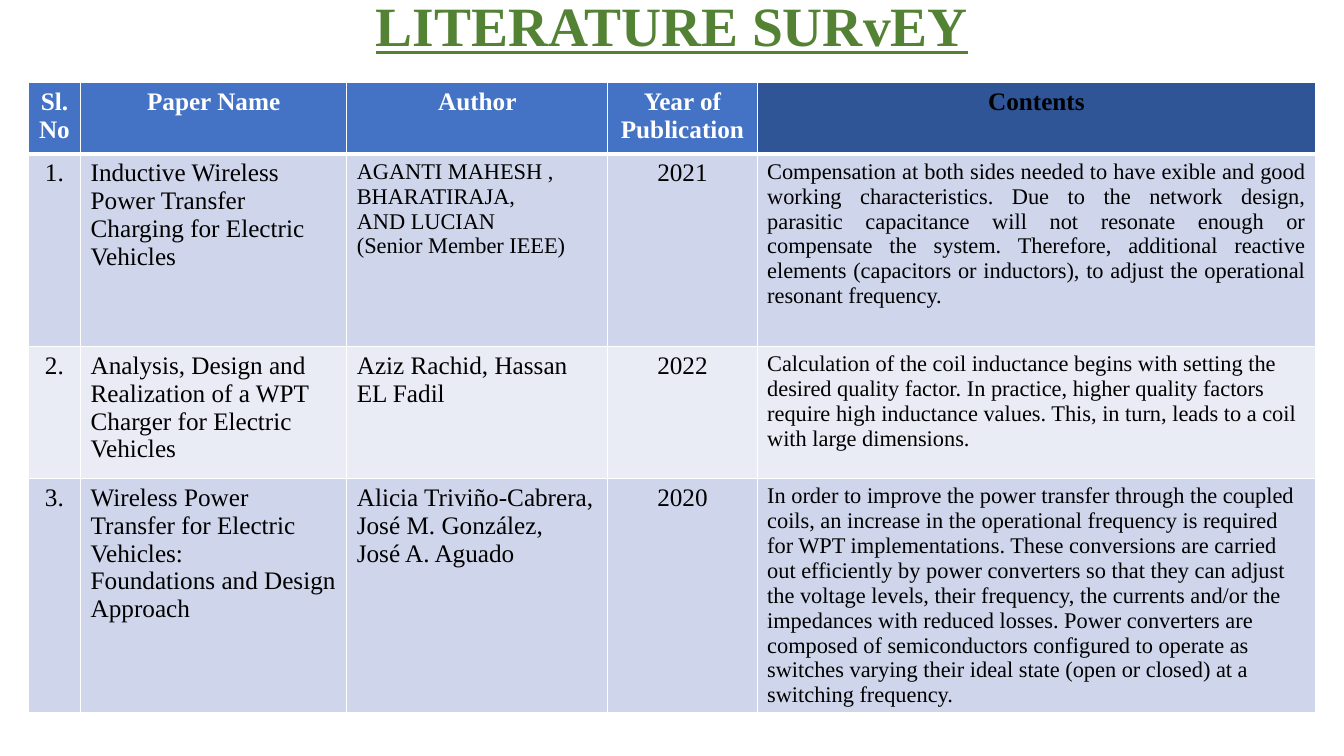
from lxml.etree import SubElement
from pptx import Presentation
from pptx.dml.color import RGBColor
from pptx.enum.text import MSO_ANCHOR, MSO_AUTO_SIZE, PP_ALIGN
from pptx.oxml.ns import qn
from pptx.util import Inches, Pt

FONT = "Times New Roman"
GREEN = RGBColor(0x54, 0x82, 0x35)
BLUE = RGBColor(0x44, 0x72, 0xC4)
NAVY = RGBColor(0x2F, 0x55, 0x97)
BAND = RGBColor(0xCF, 0xD5, 0xEA)
PALE = RGBColor(0xE9, 0xEB, 0xF5)
WHITE = RGBColor(0xFF, 0xFF, 0xFF)
BLACK = RGBColor(0, 0, 0)

COLS = [0.52, 2.64, 2.59, 1.48, 5.54]
ROWS = [0.71, 1.91, 1.31, 1.42]
CENTRED = (0, 3)
CONTENTS = 4
PAPERS = [
    ["Sl. No", "Paper Name", "Author", "Year of Publication", "Contents"],
    ["1.",
     "Inductive Wireless Power Transfer Charging for Electric Vehicles",
     "AGANTI MAHESH , BHARATIRAJA,\nAND LUCIAN\n(Senior Member IEEE)",
     "2021",
     "Compensation at both sides needed to have exible and good working "
     "characteristics. Due to the network design, parasitic capacitance will "
     "not resonate enough or compensate the system. Therefore, additional "
     "reactive elements (capacitors or inductors), to adjust the operational "
     "resonant frequency."],
    ["2.",
     "Analysis, Design and Realization of a WPT Charger for Electric Vehicles",
     "Aziz Rachid, Hassan EL Fadil",
     "2022",
     "Calculation of the coil inductance begins with setting the desired "
     "quality factor. In practice, higher quality factors require high "
     "inductance values. This, in turn, leads to a coil with large dimensions."],
    ["3.",
     "Wireless Power Transfer for Electric Vehicles:\n"
     "Foundations and Design\nApproach",
     "Alicia Triviño-Cabrera,\nJosé M. González,\nJosé A. Aguado",
     "2020",
     "In order to improve the power transfer through the coupled coils, an "
     "increase in the operational frequency is required for WPT "
     "implementations. These conversions are carried out efficiently by power "
     "converters so that they can adjust the voltage levels, their frequency, "
     "the currents and/or the impedances with reduced losses. Power converters "
     "are composed of semiconductors configured to operate as switches varying "
     "their ideal state (open or closed) at a switching frequency."],
]


def style(frame, size, color, bold, align):
    for para in frame.paragraphs:
        para.alignment = align
        for run in para.runs:
            font = run.font
            font.name, font.size, font.bold = FONT, Pt(size), bold
            font.color.rgb = color


def add_title(slide, left, top, width, height):
    title = slide.shapes.title
    title.left, title.top = Inches(left), Inches(top)
    title.width, title.height = Inches(width), Inches(height)
    frame = title.text_frame
    frame.text = "LITERATURE SURvEY\v"
    frame.word_wrap = True
    frame.auto_size = MSO_AUTO_SIZE.NONE
    frame.vertical_anchor = MSO_ANCHOR.MIDDLE
    style(frame, 39.6, GREEN, True, PP_ALIGN.CENTER)
    para = frame.paragraphs[0]
    para.line_spacing = 0.9
    para.runs[0].font.underline = True


def set_edges(cell, above, below):
    """Draw white cell borders; above and below are widths in points."""
    props = cell._tc.get_or_add_tcPr()
    widths = {"lnL": 1, "lnR": 1, "lnT": above, "lnB": below}
    for spot, (side, width) in enumerate(widths.items()):
        line = SubElement(props, qn(f"a:{side}"), w=str(Pt(width)))
        fill = SubElement(line, qn("a:solidFill"))
        SubElement(fill, qn("a:srgbClr"), val=str(WHITE))
        props.insert(spot, line)


def fill_cell(cell, text, row, col):
    head = row == 0
    last = col == CONTENTS
    cell.text_frame.text = text
    cell.fill.solid()
    if head:
        cell.fill.fore_color.rgb = NAVY if last else BLUE
    else:
        cell.fill.fore_color.rgb = BAND if row % 2 else PALE
    small = not head and (last or (row, col) == (1, 2))
    color = WHITE if head and not last else BLACK
    align = PP_ALIGN.LEFT
    if head or col in CENTRED:
        align = PP_ALIGN.CENTER
    elif last and row == 1:
        align = PP_ALIGN.JUSTIFY
    style(cell.text_frame, 16 if small else 18, color, head, align)
    set_edges(cell, 3 if row == 1 else 1, 3 if head else 1)


def add_survey(slide, left, top):
    table = slide.shapes.add_table(
        len(ROWS), len(COLS), Inches(left), Inches(top),
        Inches(sum(COLS)), Inches(sum(ROWS))).table
    for col, width in zip(table.columns, COLS):
        col.width = Inches(width)
    for row, height in zip(table.rows, ROWS):
        row.height = Inches(height)
    for r, paper in enumerate(PAPERS):
        for c, text in enumerate(paper):
            fill_cell(table.cell(r, c), text, r, c)


def main():
    deck = Presentation()
    deck.slide_width, deck.slide_height = Inches(13.33), Inches(7.5)
    slide = deck.slides.add_slide(deck.slide_layouts[5])
    add_title(slide, 1.25, 0.29, 10.83, 0.71)
    add_survey(slide, 0.28, 0.82)
    deck.save("out.pptx")


if __name__ == "__main__":
    main()
